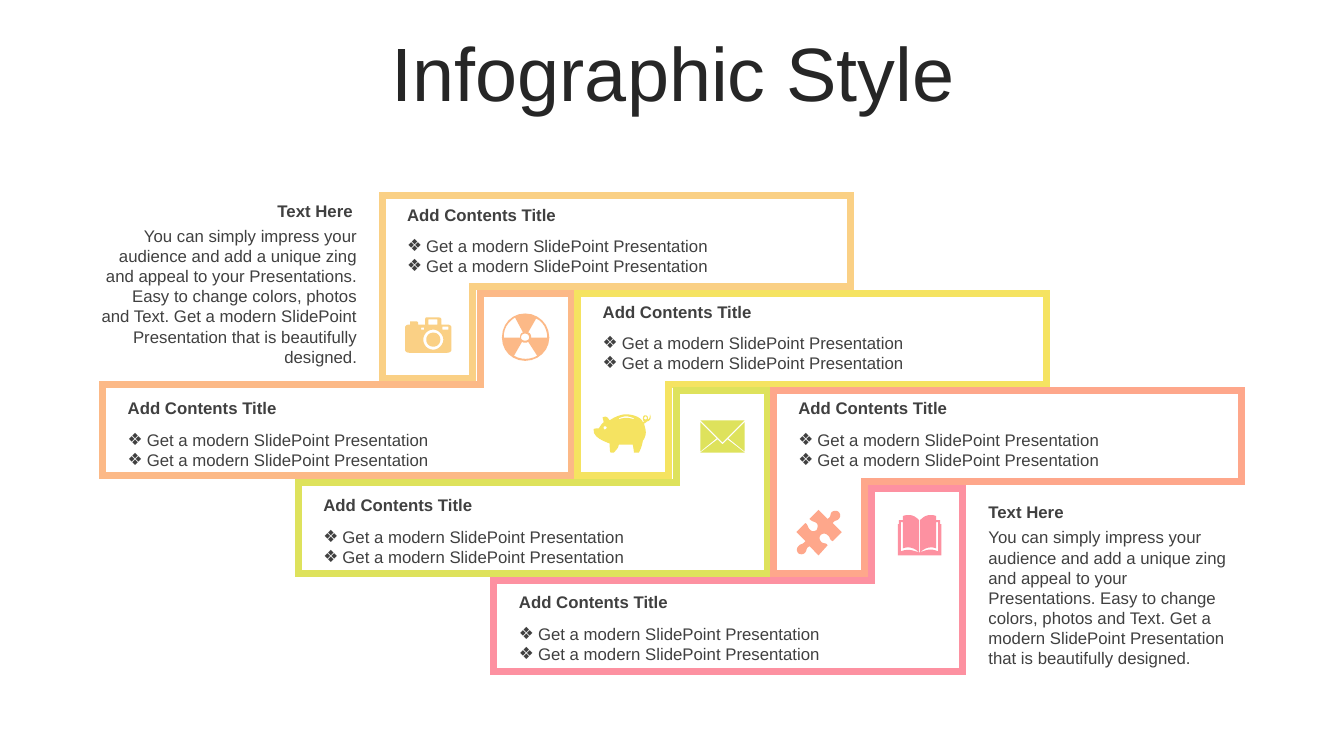
from lxml import etree
from pptx import Presentation
from pptx import util as u
from pptx.dml.color import RGBColor
from pptx.enum import text
from pptx.oxml import ns

FONT = "Arial"
INK = "404040"
STEPS = 6
ICON_UNIT = u.Cm(2.54) / 100
FRAME_WIDTH, FRAME_HEIGHT, ARM = 11.81, 4.6, 2.29
UPPER_COLORS = ["FAD085", "F5E361", "FEA78B"]
LOWER_COLORS = ["FCB987", "DEE25C", "FD91A1"]
BULLET = "Get a modern SlidePoint Presentation"
NOTE = (
    "You can simply impress your audience and add a unique zing and appeal "
    "to your Presentations. Easy to change colors, photos and Text. Get a "
    "modern SlidePoint Presentation that is beautifully designed."
)

CAMERA = """
M 28,15 C 32,15 35,18 35,22 35,26 32,29 28,29 24,29 21,26 21,22 21,18 24,15 28,15
M 28,12 C 22,12 18,17 18,22 18,27 22,32 28,32 33,32 38,27 38,22 38,17 33,12 28,12
M 16,10 L 16,12 19,12 19,10
M 37,9 L 37,12 43,12 43,9
M 23,2 L 23,7 32,7 32,2
M 21,0 L 34,0 C 35,0 36,1 36,2 L 36,7 42,7 C 44,7 46,8 46,10
L 46,32 C 46,34 44,35 42,35 L 4,35 C 2,35 0,34 0,32 L 0,10 C 0,8 2,7 4,7
L 5,7 5,4 12,4 13,5 13,7 20,7 20,2 C 20,1 20,0 21,0
"""
RADIATION = """
M 20,28 L 12,42 C 19,46 28,46 35,42 L 26,28 C 25,29 24,29 23,29 22,29 21,29 20,28
M 23,20 C 21,20 19,21 19,24 19,26 21,27 23,27 25,27 27,26 27,24 27,21 25,20 23,20
M 34,5 L 26,19 C 28,19 29,21 29,24 L 45,24 C 45,16 41,8 34,5
M 13,4 C 6,8 1,16 2,24 L 18,24 C 18,21 19,19 21,19
M 23,0 C 36,0 47,10 47,24 47,37 36,47 23,47 10,47 0,37 0,24 0,10 10,0 23,0
"""
PIG = """
M 11,12 C 10,12 10,12 10,13 10,14 10,15 11,15 12,15 13,14 13,13 13,12 12,12 11,12
M 52,2 C 51,2 50,3 50,4 50,5 51,5 52,5 52,5 53,5 53,4 53,3 52,2 52,2
M 32,2 C 30,2 27,3 25,4 L 25,5 C 30,3 35,3 40,5 L 40,4 C 38,3 35,2 32,2
M 32,0 C 38,0 45,2 48,6 L 49,8 C 50,7 50,7 50,7 49,6 49,5 49,4
49,2 50,1 51,1 53,1 54,2 54,4 54,5 54,4 54,5 54,5 56,5 56,0
58,5 55,7 53,7 52,8 51,9 50,9 L 51,13 C 53,18 51,24 49,26 48,31 47,34 45,38
L 40,38 C 40,35 39,32 39,30 34,30 29,30 25,30 25,33 22,36 20,38
L 17,38 C 16,38 16,32 16,29 11,27 -1,23 0,15 0,14 3,14 5,14
7,12 7,10 10,8 10,7 9,4 9,3 14,1 14,4 16,6 20,3 27,0 32,0
"""
ENVELOPE = """
M 27,19 L 44,32 0,32 17,19 22,24
M 44,2 L 44,31 28,18
M 0,2 L 16,18 0,31
M 0,0 L 44,0 22,22
"""
PUZZLE = """
M 42,2 C 44,4 44,7 42,9 40,11 38,10 36,13 L 45,22 36,31
C 32,29 34,27 31,25 29,23 26,23 24,25 23,26 22,29 25,32 28,34 29,32 31,35
L 22,45 13,36 C 9,38 11,39 9,42 7,45 3,44 2,43 0,41 0,38 2,36 4,33 6,35 9,31
L 0,22 9,13 C 12,15 11,18 14,20 16,22 18,21 20,20 21,18 22,15 20,13
17,11 16,12 13,9 L 22,0 31,9 C 35,6 33,5 35,2 38,0 41,1 42,2
"""
BOOK = """
M 21,37 L 22,37 C 29,34 33,33 40,36 L 40,7 38,7 38,33 C 33,31 27,32 22,37
L 22,5 C 25,2 28,0 32,0 34,0 36,0 38,1 L 38,5 42,5 42,9 43,9 43,40
0,40 0,9 1,9 1,5 5,5 5,1 C 7,0 9,0 11,0 15,0 18,2 21,5
L 21,37 C 16,32 10,31 5,33 L 5,7 3,7 3,36 C 10,33 14,35 21,37
"""
ICONS = [
    (ENVELOPE, 17.65, 10.59, "DEE25C"),
    (PUZZLE, 20.07, 12.85, "FEA78B"),
    (BOOK, 22.63, 12.98, "FD91A1"),
    (RADIATION, 12.65, 7.9, "FCB987"),
    (CAMERA, 10.21, 8, "FAD085"),
    (PIG, 14.96, 10.44, "F5E361"),
]


def color(value):
    return RGBColor.from_string(value)


def style(para, size=12, ink=INK, bold=False):
    para.font.name = FONT
    para.font.size = u.Pt(size)
    para.font.color.rgb = color(ink)
    para.font.bold = bold


def add_bullet(para):
    properties = para._p.get_or_add_pPr()
    properties.set("marL", str(u.Cm(0.48)))
    properties.set("indent", str(-u.Cm(0.48)))
    etree.SubElement(properties, ns.qn("a:buFont")).set("typeface", FONT)
    etree.SubElement(properties, ns.qn("a:buChar")).set("char", "❖")


def add_text(page, lines, left, top, width, height, bold=False, bullets=False, align=None):
    box = page.shapes.add_textbox(u.Cm(left), u.Cm(top), u.Cm(width), u.Cm(height))
    frame = box.text_frame
    frame.word_wrap = True
    frame.text = "\n".join(lines)
    for para in frame.paragraphs:
        if bullets:
            add_bullet(para)
        para.alignment = align
        style(para, bold=bold)


def add_outline(page, contours, left, top, fill):
    builder = page.shapes.build_freeform(*contours[0][0])
    for number, points in enumerate(contours):
        if number:
            builder.move_to(*points[0])
        builder.add_line_segments(points[1:], close=True)
    shape = builder.convert_to_shape(u.Cm(left), u.Cm(top))
    shape.shadow.inherit = False
    shape.fill.solid()
    shape.fill.fore_color.rgb = color(fill)
    return shape


def add_frame(page, left, top, line, turned=False):
    corners = [(0, 0), (FRAME_WIDTH, 0), (FRAME_WIDTH, ARM),
               (ARM, ARM), (ARM, FRAME_HEIGHT), (0, FRAME_HEIGHT)]
    if turned:
        corners = [(FRAME_WIDTH - x, FRAME_HEIGHT - y) for x, y in corners]
    points = [(u.Cm(x), u.Cm(y)) for x, y in corners]
    shape = add_outline(page, [points], left, top, "FFFFFF")
    shape.line.color.rgb = color(line)
    shape.line.width = u.Pt(5)
    etree.SubElement(shape.line._get_or_add_ln(), ns.qn("a:miter")).set("lim", "800000")


def bend(start, first, second, end):
    for step in range(1, STEPS + 1):
        t = step / STEPS
        yield tuple(
            (1 - t) ** 3 * a + 3 * t * (1 - t) ** 2 * b + 3 * t * t * (1 - t) * c + t ** 3 * d
            for a, b, c, d in zip(start, first, second, end)
        )


def trace(contour):
    points, controls, mode = [], [], "L"
    for token in contour.split():
        if token in ("L", "C"):
            mode = token
            continue
        point = tuple(int(number) * ICON_UNIT for number in token.split(","))
        if mode == "L":
            points.append(point)
            continue
        controls.append(point)
        if len(controls) == 3:
            points.extend(bend(points[-1], *controls))
            controls = []
    return points


def add_icon(page, outline, left, top, fill):
    contours = [trace(contour) for contour in outline.split("M")[1:]]
    add_outline(page, contours, left, top, fill).line.fill.background()


def add_content(page, left, top):
    add_text(page, [BULLET] * 2, left, top + 0.79, 9.07, 1.27, bullets=True)
    add_text(page, ["Add Contents Title"], left, top, 9.07, 0.76, bold=True)


def add_title(page, words):
    title = page.shapes.title
    title.left, title.top = u.Cm(0.89), u.Cm(0.94)
    title.width, title.height = u.Cm(32.16), u.Cm(2.01)
    frame = title.text_frame
    frame.text = words
    frame.auto_size = text.MSO_AUTO_SIZE.NONE
    frame.vertical_anchor = text.MSO_ANCHOR.MIDDLE
    para = frame.paragraphs[0]
    para.alignment = text.PP_ALIGN.CENTER
    para.line_spacing = 0.9
    style(para, 54, "262626")


def main():
    deck = Presentation()
    deck.slide_width, deck.slide_height = u.Cm(33.87), u.Cm(19.05)
    page = deck.slides.add_slide(deck.slide_layouts[5])
    add_title(page, "Infographic Style")
    for i, (upper, lower) in enumerate(zip(UPPER_COLORS, LOWER_COLORS)):
        add_frame(page, 9.63 + 4.93 * i, 4.93 + 2.46 * i, upper)
        add_frame(page, 2.59 + 4.93 * i, 7.39 + 2.46 * i, lower, turned=True)
    for i in range(3):
        add_content(page, 10.01 + 4.93 * i, 5.03 + 2.44 * i)
        add_content(page, 2.97 + 4.93 * i, 9.91 + 2.44 * i)
    right = text.PP_ALIGN.RIGHT
    add_text(page, [NOTE], 2.29, 5.56, 6.96, 3.84, align=right)
    add_text(page, ["Text Here"], 2.26, 4.93, 6.88, 0.76, bold=True, align=right)
    add_text(page, [NOTE], 24.66, 13.16, 6.81, 3.84)
    add_text(page, ["Text Here"], 24.66, 12.52, 6.81, 0.76, bold=True)
    for icon in ICONS:
        add_icon(page, *icon)
    deck.save("out.pptx")


if __name__ == "__main__":
    main()
